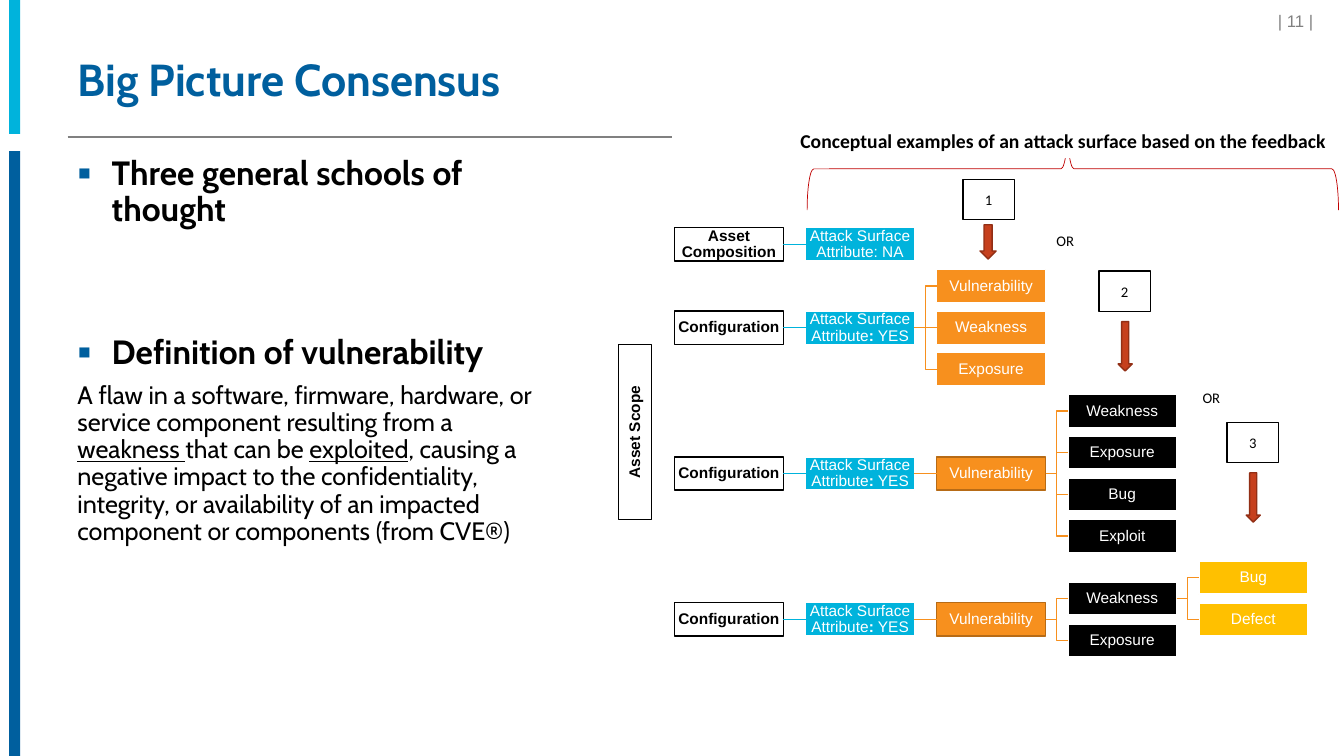
from lxml import etree
from pptx import Presentation
from pptx import util as u
from pptx.dml.color import RGBColor
from pptx.enum import shapes, text
from pptx.oxml import ns

BLACK = RGBColor(0x00, 0x00, 0x00)
WHITE = RGBColor(0xFF, 0xFF, 0xFF)
GREY = RGBColor(0x80, 0x80, 0x80)
CYAN = RGBColor(0x00, 0xB3, 0xDC)
BLUE = RGBColor(0x00, 0x5F, 0x9E)
ORANGE = RGBColor(0xF7, 0x90, 0x1E)
BROWN = RGBColor(0xB7, 0x6B, 0x16)
AMBER = RGBColor(0xFF, 0xC0, 0x00)
RUST = RGBColor(0xC6, 0x40, 0x1D)
DARK_RUST = RGBColor(0x92, 0x2F, 0x15)
RED = RGBColor(0xC0, 0x00, 0x00)

TITLE = "Big Picture Consensus"
PAGE_NUMBER = "| 11 | "
CAPTION = "Conceptual examples of an attack surface based on the feedback"
SCOPE = "Asset Scope"
BULLETS = [("Three general schools of thought", 0), ("Definition of vulnerability", 68)]
UNDERLINED = {"underline": True}
DEFINITION = [
    ("A flaw in a software, firmware, hardware, or service component resulting from a ", {}),
    ("weakness ", UNDERLINED),
    ("that can be ", {}),
    ("exploited", UNDERLINED),
    (", causing a negative impact to the confidentiality, integrity, or availability of an "
     "impacted component or components (from CVE®)", {}),
]
ATTRIBUTE_YES = [("Attack Surface Attribute", {}), (":", {"bold": True}), (" YES", {})]

NODE_STYLES = {
    "asset": (WHITE, BLACK, 1),
    "attribute": (CYAN, WHITE, 1),
    "leaf": (ORANGE, WHITE, 1),
    "branch": (ORANGE, BROWN, 1),
    "cause": (BLACK, WHITE, 1.5),
    "detail": (AMBER, WHITE, 1.5),
}
TREES = [
    ("Asset Composition", 0, "asset", [("Attack Surface Attribute: NA", 0, "attribute", [])]),
    ("Configuration", 2, "asset", [(ATTRIBUTE_YES, 2, "attribute", [
        ("Vulnerability", 1, "leaf", []),
        ("Weakness", 2, "leaf", []),
        ("Exposure", 3, "leaf", []),
    ])]),
    ("Configuration", 5.5, "asset", [(ATTRIBUTE_YES, 5.5, "attribute", [
        ("Vulnerability", 5.5, "branch", [
            ("Weakness", 4, "cause", []),
            ("Exposure", 5, "cause", []),
            ("Bug", 6, "cause", []),
            ("Exploit", 7, "cause", []),
        ]),
    ])]),
    ("Configuration", 9, "asset", [(ATTRIBUTE_YES, 9, "attribute", [
        ("Vulnerability", 9, "branch", [
            ("Weakness", 8.5, "cause", [
                ("Bug", 8, "detail", []),
                ("Defect", 9, "detail", []),
            ]),
            ("Exposure", 9.5, "cause", []),
        ]),
    ])]),
]
SCHOOLS = [("1", 955, 178), ("2", 1090, 269), ("3", 1217, 419)]
ARROWS = [(972, 223, 16, 34), (1109, 319, 14, 49), (1236, 469, 14, 49)]
ALTERNATIVES = [("OR", 1031, 219), ("OR", 1176, 375)]

PX = 9144
NODE_LEFT, NODE_TOP, NODE_WIDTH, NODE_HEIGHT = 669, 226, 108, 33
COLUMN_STEP, SLOT_STEP = 130, 41.33
LABEL_WIDTH, LABEL_HEIGHT = 51, 40

deck = Presentation()
deck.slide_width, deck.slide_height = 1333 * PX, 750 * PX
page = deck.slides.add_slide(deck.slide_layouts[5])


def place(*lengths):
    return [round(length * PX) for length in lengths]


def write(para, content, size, font, color=BLACK, bold=False, align=text.PP_ALIGN.LEFT,
          spacing=1.0, before=0, after=0):
    para.alignment, para.line_spacing = align, spacing
    para.space_before, para.space_after = u.Pt(before), u.Pt(after)
    for words, extra in [(content, {})] if isinstance(content, str) else content:
        span = para.add_run()
        span.text = words
        span.font.size, span.font.name = u.Pt(size), font
        span.font.color.rgb = color
        span.font.bold = extra.get("bold", bold)
        if "underline" in extra:
            span.font.underline = extra["underline"]


def add_bullet(para):
    properties = para._p.get_or_add_pPr()
    properties.set("marL", str(34 * PX))
    properties.set("indent", str(-34 * PX))
    color = etree.SubElement(properties, ns.qn("a:buClr"))
    etree.SubElement(color, ns.qn("a:srgbClr"), val=str(BLUE))
    etree.SubElement(properties, ns.qn("a:buSzPct"), val="120000")
    etree.SubElement(properties, ns.qn("a:buFont"), typeface="Arial")
    etree.SubElement(properties, ns.qn("a:buChar"), char="▪")


def add_block(kind, bounds, fill=None, line=None, weight=1):
    block = page.shapes.add_shape(kind, *place(*bounds))
    block.shadow.inherit = False
    if fill is None:
        block.fill.background()
    else:
        block.fill.solid()
        block.fill.fore_color.rgb = fill
    if line is None:
        block.line.fill.background()
    else:
        block.line.color.rgb = line
        block.line.width = u.Pt(weight)
    return block


def add_label(bounds, content, fill=None, line=None, weight=1, inset=10, **style):
    block = add_block(shapes.MSO_SHAPE.RECTANGLE, bounds, fill, line, weight)
    frame = block.text_frame
    frame.word_wrap = True
    frame.vertical_anchor = text.MSO_ANCHOR.MIDDLE
    frame.margin_left = frame.margin_right = inset * PX
    frame.margin_top = frame.margin_bottom = min(inset, 5) * PX
    write(frame.paragraphs[0], content, **{"align": text.PP_ALIGN.CENTER, **style})
    return block


def add_line(kind, bounds, color):
    line = page.shapes.add_connector(kind, *place(*bounds))
    line.line.color.rgb = color
    line.line.width = u.Pt(1)
    etree.SubElement(line._element.spPr, ns.qn("a:effectLst"))
    return line


def add_node(node, column=0):
    content, slot, style, children = node
    fill, edge, weight = NODE_STYLES[style]
    left, top = NODE_LEFT + column * COLUMN_STEP, NODE_TOP + slot * SLOT_STEP
    box = add_label((left, top, NODE_WIDTH, NODE_HEIGHT), content, fill, edge, weight, inset=1,
                    size=11, font="Arial", color=BLACK if style == "asset" else WHITE,
                    bold=style == "asset", spacing=0.9)
    for child in children:
        child_box = add_node(child, column + 1)
        kind = shapes.MSO_CONNECTOR.STRAIGHT if child[1] == slot else shapes.MSO_CONNECTOR.ELBOW
        link = add_line(kind, (0, 0, 0, 0), CYAN if column == 0 else ORANGE)
        link.begin_connect(box, 3)
        link.end_connect(child_box, 1)
    return box


add_block(shapes.MSO_SHAPE.RECTANGLE, (9, 0, 11, 133), CYAN)
add_block(shapes.MSO_SHAPE.RECTANGLE, (9, 150, 11, 600), BLUE)
add_line(shapes.MSO_CONNECTOR.STRAIGHT, (67, 136, 667, 136), GREY)

title = page.shapes.title
title.left, title.top, title.width, title.height = place(67, 40, 1229, 82)
title.text_frame.vertical_anchor = text.MSO_ANCHOR.MIDDLE
write(title.text_frame.paragraphs[0], TITLE, 32, "Cabin", BLUE, bold=True, spacing=0.9)

body = page.shapes.add_textbox(*place(67, 150, 487, 524)).text_frame
body.word_wrap = True
for index, (words, gap) in enumerate(BULLETS):
    para = body.add_paragraph() if index else body.paragraphs[0]
    add_bullet(para)
    write(para, words, 24, "Cabin", bold=True, spacing=0.9, before=gap, after=8)
write(body.add_paragraph(), DEFINITION, 18, "Cabin", spacing=0.9)

number = page.shapes.add_textbox(*place(1124, 6, 193, 28)).text_frame
number.word_wrap = True
write(number.paragraphs[0], PAGE_NUMBER, 12, "Arial", GREY, align=text.PP_ALIGN.RIGHT)

scope = add_label((543, 412, 174, 33), SCOPE, WHITE, BLACK, inset=1,
                  size=11, font="Arial", bold=True, spacing=0.9)
scope.rotation = 270
for tree in TREES:
    add_node(tree)

brace = add_block(shapes.MSO_SHAPE.LEFT_BRACE, (1023, -96, 82, 527), line=RED, weight=0.5)
brace.rotation = 90
brace.adjustments[0], brace.adjustments[1] = 0.08, 0.51
add_label((784, 123, 547, 34), CAPTION, WHITE, size=14, font="Calibri", bold=True,
          align=text.PP_ALIGN.LEFT)

for bounds in ARROWS:
    add_block(shapes.MSO_SHAPE.DOWN_ARROW, bounds, RUST, DARK_RUST)
for labels, edge in ((SCHOOLS, BLACK), (ALTERNATIVES, None)):
    for words, left, top in labels:
        add_label((left, top, LABEL_WIDTH, LABEL_HEIGHT), words, WHITE, edge,
                  size=10.5, font="Calibri")

deck.save("out.pptx")
